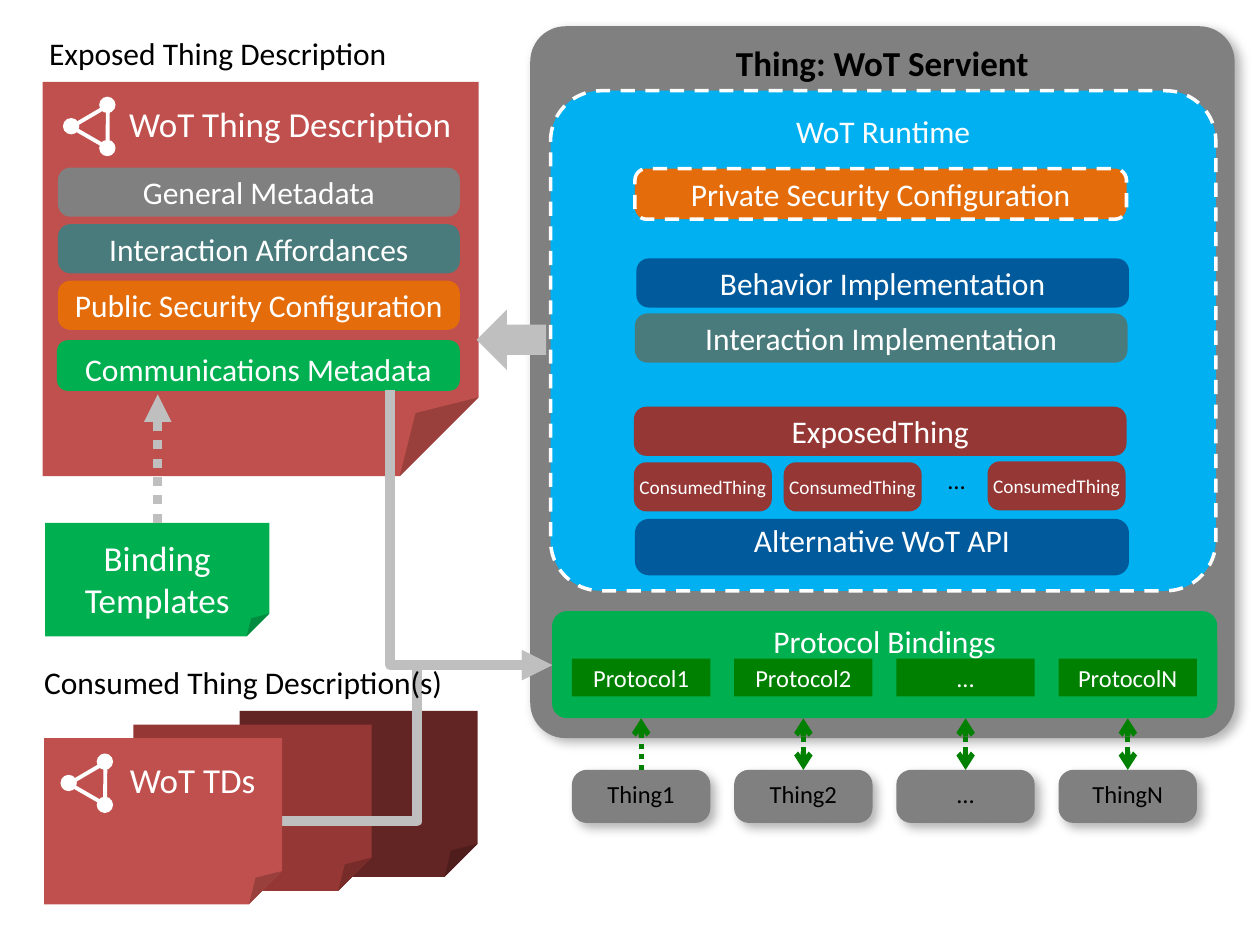
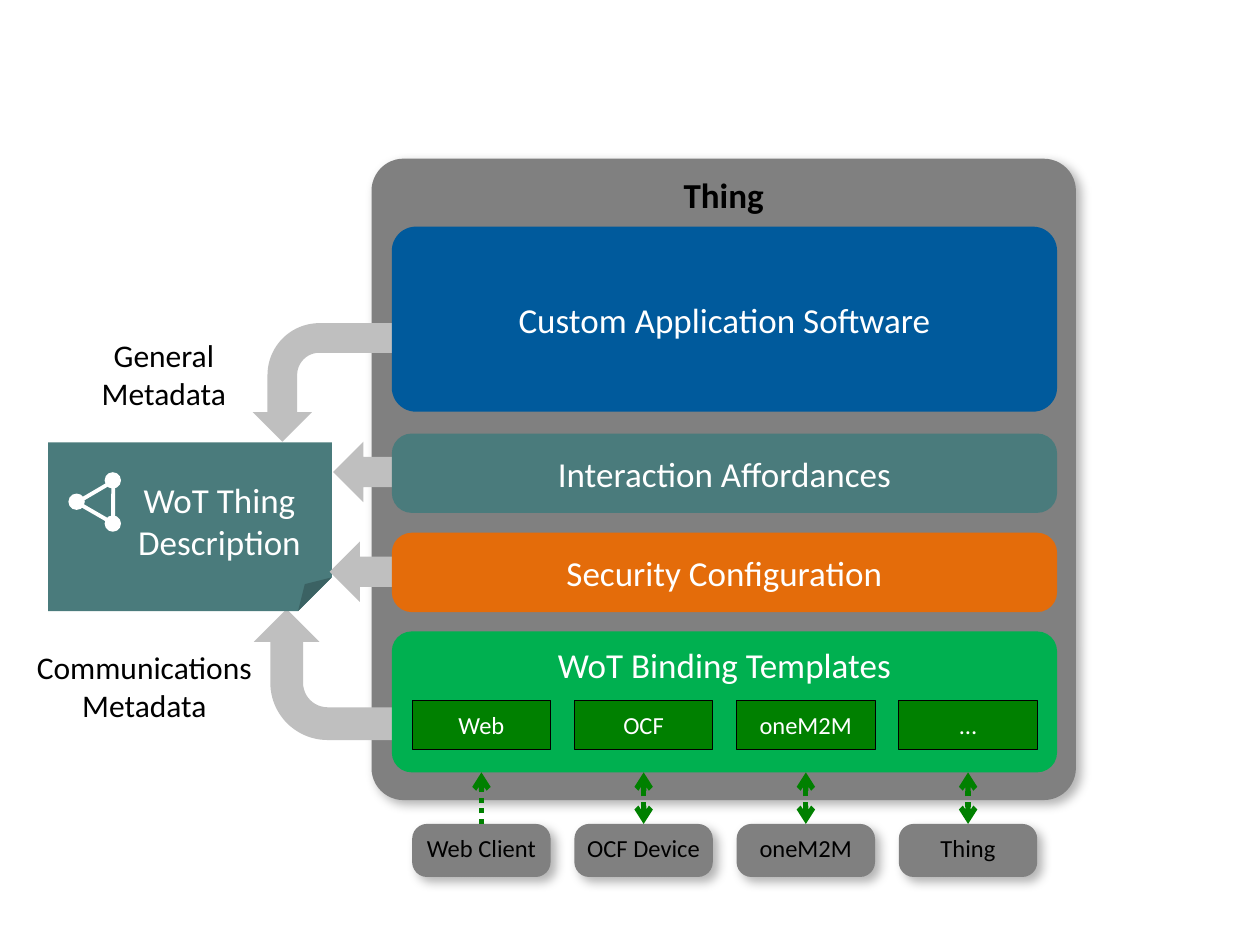
from lxml import etree
from pptx import Presentation
from pptx.dml.color import RGBColor
from pptx.enum.dml import MSO_LINE
from pptx.enum.shapes import MSO_CONNECTOR, MSO_SHAPE
from pptx.enum.text import MSO_ANCHOR, PP_ALIGN
from pptx.oxml.ns import qn
from pptx.util import Cm, Pt

ROUND, RECT, FOLDED = MSO_SHAPE.ROUNDED_RECTANGLE, MSO_SHAPE.RECTANGLE, MSO_SHAPE.FOLDED_CORNER
DOWN, BENT = MSO_SHAPE.DOWN_ARROW, MSO_SHAPE.BENT_ARROW
TRIANGLE, OVAL = MSO_SHAPE.ISOSCELES_TRIANGLE, MSO_SHAPE.OVAL
STRAIGHT, ELBOW = MSO_CONNECTOR.STRAIGHT, MSO_CONNECTOR.ELBOW
TOP, MIDDLE, BOTTOM = MSO_ANCHOR.TOP, MSO_ANCHOR.MIDDLE, MSO_ANCHOR.BOTTOM
LEFT, CENTER = PP_ALIGN.LEFT, PP_ALIGN.CENTER
DASH, DOTS = MSO_LINE.DASH, MSO_LINE.ROUND_DOT

FONT = "Calibri"
COLORS = {
    "black": "000000", "white": "FFFFFF", "gray": "808080", "silver": "BFBFBF",
    "sky": "00B0F0", "navy": "005A9C", "teal": "4A7B7C", "orange": "E46C0A",
    "green": "00B050", "dark green": "008000",
    "red": "C0504D", "dark red": "953735", "maroon": "632523",
}
INSETS = (0.25, 0.13, 0.25, 0.13)
THING_INSETS = (0.25, 0.1, 0.25, 0.2)
DOC_INSETS = (1.19, 0.41, 0, 0)
COLUMN_W, COLUMN_STEP = 2.79, 3.27
PANEL_W = 13.41
BAR_H = 0.99


def rgb(name):
    return RGBColor.from_string(COLORS[name])


def set_text(s, text, size=18, color="white", anchor=MIDDLE, insets=INSETS,
             align=CENTER, bold=False, wrap=False):
    tf = s.text_frame
    tf.word_wrap = wrap
    tf.vertical_anchor = anchor
    tf.margin_left, tf.margin_top, tf.margin_right, tf.margin_bottom = map(Cm, insets)
    p = tf.paragraphs[0]
    p.text = text
    p.alignment = align
    for r in p.runs:
        r.font.name, r.font.size, r.font.bold = FONT, Pt(size), bold
        r.font.color.rgb = rgb(color)


def set_corner(s, adj):
    """Set the corner size; the folded corner has no adjustments in python-pptx."""
    guides = s._element.spPr.find(qn("a:prstGeom")).find(qn("a:avLst"))
    for guide in list(guides):
        guides.remove(guide)
    etree.SubElement(guides, qn("a:gd"), name="adj", fmla=f"val {round(adj * 100000)}")


def add_shape(shapes, kind, box, fill=None, line=None, adj=None, rot=0, dash=None):
    """line is a (colour, points) pair; box is left, top, width, height in cm."""
    s = shapes.add_shape(kind, *map(Cm, box))
    s.shadow.inherit = False
    s.rotation = rot
    if adj is not None:
        set_corner(s, adj)
    if fill:
        s.fill.solid()
        s.fill.fore_color.rgb = rgb(fill)
    else:
        s.fill.background()
    if line:
        s.line.color.rgb = rgb(line[0])
        s.line.width = Pt(line[1])
        if dash:
            s.line.dash_style = dash
    else:
        s.line.fill.background()
    return s


def add_bar(shapes, box, fill, text, size=18, anchor=MIDDLE, adj=0.25,
            insets=INSETS, line=None, dash=None):
    s = add_shape(shapes, ROUND, box, fill, line, adj, dash=dash)
    set_text(s, text, size, anchor=anchor, insets=insets)


def add_thing(slide, box, text, size=14, anchor=MIDDLE, adj=0.28, bold=False):
    """Grey rounded box with a soft shadow."""
    s = add_shape(slide.shapes, ROUND, box, "gray", adj=adj)
    effects = s._element.spPr.find(qn("a:effectLst"))
    shadow = etree.SubElement(effects, qn("a:outerShdw"), blurRad=str(Pt(6)),
                              dist=str(Pt(4)), dir="2700000", algn="tl", rotWithShape="0")
    color = etree.SubElement(shadow, qn("a:srgbClr"), val=COLORS["black"])
    etree.SubElement(color, qn("a:alpha"), val="30000")
    set_text(s, text, size, "black", anchor, THING_INSETS, bold=bold)


def add_document(slide, box, fill, text="", anchor=TOP, insets=DOC_INSETS):
    s = add_shape(slide.shapes, FOLDED, box, fill, adj=0.2)
    if text:
        set_text(s, text, 20, anchor=anchor, insets=insets)


def add_graph_icon(slide, x, y):
    """Three linked nodes; x, y is the corner of the unrotated triangle."""
    shapes = slide.shapes.add_group_shape().shapes
    add_shape(shapes, TRIANGLE, (x, y, 0.84, 0.74), line=("white", 2.25), rot=30)
    for dx, dy in ((0.43, -0.13), (-0.3, 0.3), (0.43, 0.74)):
        add_shape(shapes, OVAL, (x + dx, y + dy, 0.33, 0.33), "white")


def add_label(slide, box, text, align=LEFT):
    s = slide.shapes.add_textbox(*map(Cm, box))
    set_text(s, text, 18, "black", TOP, align=align)


def add_line(slide, points, color, width, head=None, tail=None, kind=STRAIGHT, dash=None):
    s = slide.shapes.add_connector(kind, *map(Cm, points))
    s.line.color.rgb = rgb(color)
    s.line.width = Pt(width)
    if dash:
        s.line.dash_style = dash
    ln = s._element.spPr.find(qn("a:ln"))
    for tag, end in (("a:headEnd", head), ("a:tailEnd", tail)):
        if end:
            etree.SubElement(ln, qn(tag), type=end)
    etree.SubElement(s._element.spPr, qn("a:effectLst"))
    return s


def add_block_arrow(slide, kind, box, rot, flips=()):
    s = add_shape(slide.shapes, kind, box, "silver", rot=rot)
    for flip in flips:
        s._element.spPr.find(qn("a:xfrm")).set(flip, "1")


def add_protocol_columns(slide, left, top, height, columns, arrow_top, thing_top, line=None):
    """Protocol boxes linked to the things below; the first link points up only."""
    for i, (protocol, thing) in enumerate(columns):
        x = left + i * COLUMN_STEP
        center = x + COLUMN_W / 2
        s = add_shape(slide.shapes, RECT, (x, top, COLUMN_W, height), "dark green", line)
        set_text(s, protocol, 14, wrap=True)
        add_thing(slide, (x, thing_top, COLUMN_W, 1.07), thing)
        add_line(slide, (center, thing_top, center, arrow_top), "dark green", 3,
                 head="arrow" if i else None, tail="arrow", dash=DOTS)


def add_descriptions(slide):
    add_document(slide, (0.86, 1.65, 8.79, 7.95), "red", "WoT Thing Description")
    add_graph_icon(slide, 1.57, 2.08)
    metadata = (("gray", "General Metadata"), ("teal", "Interaction Affordances"),
                ("orange", "Public Security Configuration"))
    for i, (fill, text) in enumerate(metadata):
        add_bar(slide.shapes, (1.17, 3.38 + 1.14 * i, 8.1, BAR_H), fill, text)
    add_bar(slide.shapes, (1.15, 6.86, 8.12, 1.02), "green", "Communications Metadata",
            anchor=TOP, adj=0.21)

    add_document(slide, (0.91, 10.54, 4.52, 2.29), "green", "Binding\nTemplates",
                 MIDDLE, (0, 0.41, 0, 0))
    add_line(slide, (3.18, 10.54, 3.18, 7.95), "silver", 5.25, tail="triangle", dash=DOTS)
    add_document(slide, (0.89, 14.88, 4.8, 3.35), "red", "WoT TDs")
    add_graph_icon(slide, 1.52, 15.32)
    add_label(slide, (0.74, 0.56, 7.39, 1.02), "Exposed Thing Description")
    add_label(slide, (0.64, 13.23, 8.64, 1.02), "Consumed Thing Description(s)")


def add_runtime_bars(slide):
    shapes = slide.shapes
    add_bar(shapes, (12.8, 3.4, 9.91, 1.02), "orange", "Private Security Configuration",
            adj=0.23, line=("white", 2), dash=DASH)
    add_bar(shapes, (12.83, 5.21, 9.93, BAR_H), "navy", "Behavior Implementation")
    add_bar(shapes, (12.8, 6.32, 9.93, BAR_H), "teal", "Interaction Implementation")
    add_bar(shapes, (12.78, 8.2, 9.93, BAR_H), "dark red", "ExposedThing")
    for x, y in ((12.78, 9.32), (15.8, 9.32), (19.91, 9.3)):
        add_bar(shapes, (x, y, 2.78, BAR_H), "dark red", "ConsumedThing", 11)
    more = add_shape(shapes, ROUND, (18.8, 9.19, 0.97, 1.07), adj=0.28)
    set_text(more, "…", 14, "black", insets=THING_INSETS)
    add_bar(shapes, (12.8, 10.46, 9.96, 1.14), "navy", "Alternative WoT API",
            anchor=BOTTOM, insets=(0.25, 0.13, 0.25, 0.25))


def build_servient(slide):
    add_thing(slide, (10.69, 0.53, 14.2, 14.35), "Thing: WoT Servient", 20, TOP, 0.05, True)
    add_bar(slide.shapes, (11.1, 1.83, PANEL_W, 10.08), "sky", "WoT Runtime", anchor=TOP,
            adj=0.1, line=("white", 2), dash=DASH)
    add_document(slide, (4.83, 14.33, 4.8, 3.35), "maroon")
    add_document(slide, (2.69, 14.61, 4.8, 3.35), "dark red")
    add_line(slide, (5.69, 16.56, 11.13, 13.41), "silver", 5.75, tail="triangle", kind=ELBOW)
    add_descriptions(slide)
    add_block_arrow(slide, DOWN, (9.7, 6.15, 1.22, 1.4), 90)
    add_bar(slide.shapes, (11.13, 12.32, PANEL_W, 2.16), "green", "Protocol Bindings",
            anchor=TOP, adj=0.14)
    columns = (("Protocol1", "Thing1"), ("Protocol2", "Thing2"), ("...", "…"),
               ("ProtocolN", "ThingN"))
    add_protocol_columns(slide, 11.53, 13.28, 0.76, columns, 14.48, 15.52)
    metadata_link = add_line(slide, (11.13, 13.41, 7.87, 7.87), "silver", 5.75,
                             head="triangle", kind=ELBOW)
    metadata_link._element.spPr.find(qn("a:prstGeom")).set("prst", "bentConnector2")
    add_runtime_bars(slide)


def build_thing(slide):
    add_thing(slide, (7.49, 3.2, 14.2, 12.93), "Thing", 20, TOP, 0.05, True)
    add_block_arrow(slide, DOWN, (6.83, 8.79, 1.22, 1.45), 90)
    add_block_arrow(slide, BENT, (5.77, 11.63, 2.64, 3.94), 90, ("flipH", "flipV"))
    add_block_arrow(slide, BENT, (5.87, 5.74, 2.39, 3.94), 270, ("flipH",))
    add_document(slide, (0.97, 8.92, 5.72, 3.4), "teal", "WoT Thing\nDescription", MIDDLE)
    add_graph_icon(slide, 1.68, 9.65)
    add_block_arrow(slide, DOWN, (6.76, 10.8, 1.22, 1.45), 90)
    layers = (
        (4.57, 3.73, "navy", "Custom Application Software", MIDDLE, 0.13),
        (8.74, 1.6, "teal", "Interaction Affordances", MIDDLE, 0.25),
        (10.74, 1.6, "orange", "Security Configuration", MIDDLE, 0.25),
        (12.73, 2.84, "green", "WoT Binding Templates", TOP, 0.14),
    )
    for top, height, fill, text, anchor, adj in layers:
        add_bar(slide.shapes, (7.9, top, PANEL_W, height), fill, text, 20, anchor, adj)
    columns = (("Web", "Web Client"), ("OCF", "OCF Device"), ("oneM2M", "oneM2M"),
               ("…", "Thing"))
    add_protocol_columns(slide, 8.31, 14.12, BAR_H, columns, 15.57, 16.61, ("black", 0.5))
    add_label(slide, (1.78, 6.65, 3.05, 1.8), "General\nMetadata", CENTER)
    add_label(slide, (0.46, 12.93, 4.9, 1.8), "Communications\nMetadata", CENTER)


def main():
    prs = Presentation()
    prs.slide_width, prs.slide_height = Cm(25.4), Cm(19.05)
    for build in (build_servient, build_thing):
        build(prs.slides.add_slide(prs.slide_layouts[6]))
    prs.save("out.pptx")


if __name__ == "__main__":
    main()
